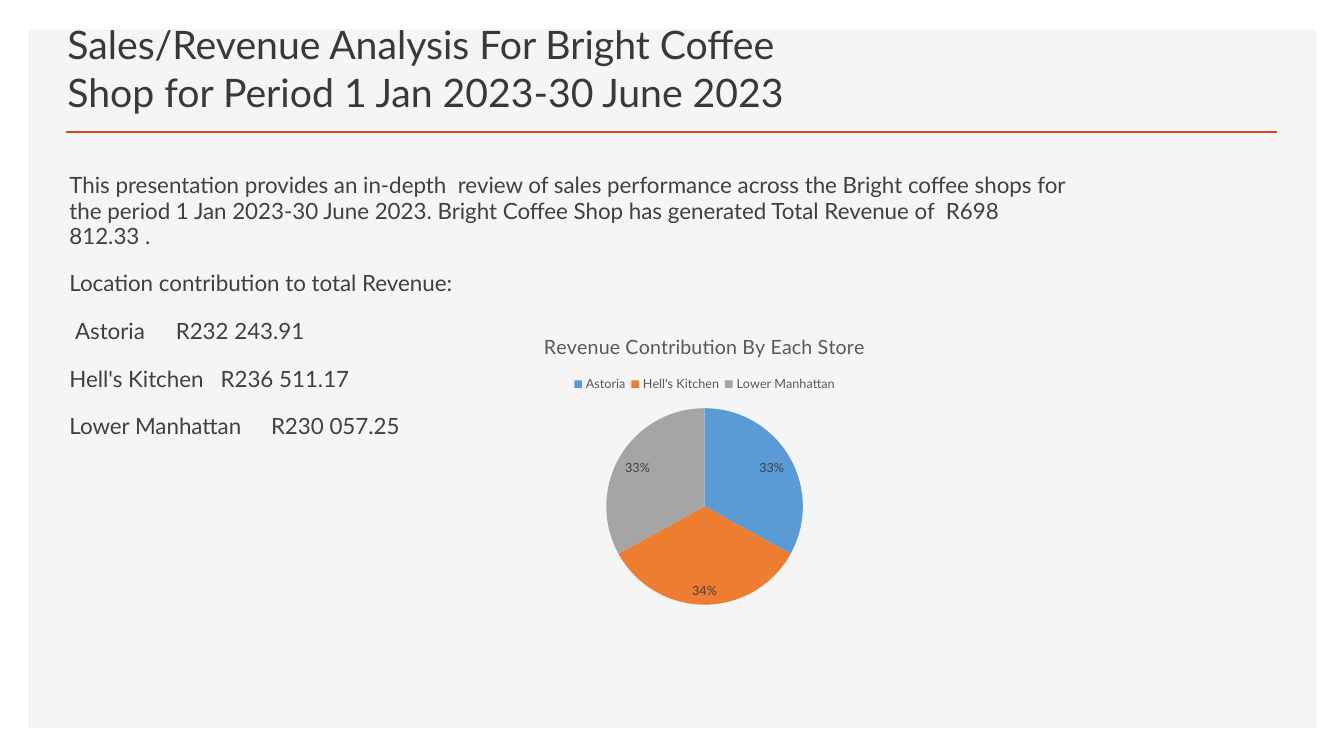
from lxml import etree
from pptx import Presentation
from pptx.chart import data as chart_data
from pptx.dml import color
from pptx.enum import chart as ce, shapes, text
from pptx.oxml import ns, parse_xml
from pptx.util import Pt

FONT = "Lato"
TITLE = "Sales/Revenue Analysis For Bright Coffee Shop for Period 1 Jan 2023-30 June 2023"
INTRO = (
    "This presentation provides an in-depth  review of sales performance across the "
    "Bright coffee shops for  the period 1 Jan 2023-30 June 2023. Bright Coffee Shop has "
    "generated Total Revenue of  R698 812.33 ."
)
HEADING = "Location contribution to total Revenue:"
STORES = [
    ("Astoria", "R232 243.91", 33, "5B9BD5", 4, 154),
    ("Hell's Kitchen", "R236 511.17", 34, "ED7D31", 0, 165),
    ("Lower Manhattan", "R230 057.25", 33, "A5A5A5", 0, 165),
]


def rgb(value):
    return color.RGBColor.from_string(value)


def set_format(target, values):
    for name, value in values.items():
        setattr(target, name, value)


def style_font(font, size, hue):
    set_format(font, {"name": FONT, "size": Pt(size), "bold": False})
    font.color.rgb = rgb(hue)


def place(shape, left, top, width, height):
    values = {"left": left, "top": top, "width": width, "height": height}
    set_format(shape, {name: Pt(value) for name, value in values.items()})


def add_panel(page):
    panel = page.shapes.add_shape(
        shapes.MSO_SHAPE.RECTANGLE, Pt(20.2), Pt(20.9), Pt(920.2), Pt(499))
    panel.shadow.inherit = False
    panel.fill.solid()
    panel.fill.fore_color.rgb = rgb("F5F5F5")
    panel.line.fill.background()
    page.shapes._spTree.insert(2, panel._element)


def add_rule(page):
    rule = page.shapes.add_connector(
        shapes.MSO_CONNECTOR.STRAIGHT, Pt(47.5), Pt(94.3), Pt(912.2), Pt(94.3))
    rule.line.color.rgb = rgb("D24726")
    rule.line.width = Pt(2)
    etree.SubElement(rule._element.spPr, ns.qn("a:effectLst"))


def fill_title(page):
    title = page.shapes.title
    place(title, 41, 35.3, 541.4, 50.4)
    frame = title.text_frame
    set_format(frame, {
        "word_wrap": True,
        "auto_size": text.MSO_AUTO_SIZE.NONE,
        "vertical_anchor": text.MSO_ANCHOR.BOTTOM,
    })
    para = frame.paragraphs[0]
    para.alignment = text.PP_ALIGN.LEFT
    span = para.add_run()
    span.text = TITLE
    style_font(span.font, 28, "3B3838")


def add_tab_stop(para, indent, stop):
    properties = para._p.get_or_add_pPr()
    properties.set("marL", str(Pt(indent)))
    properties.set("indent", "0")
    tabs = etree.SubElement(properties, ns.qn("a:tabLst"))
    etree.SubElement(tabs, ns.qn("a:tab"), pos=str(Pt(stop)), algn="l")


def write_para(para, content):
    set_format(para, {
        "line_spacing": Pt(18), "space_before": Pt(10), "space_after": Pt(6)})
    span = para.add_run()
    span.text = content
    style_font(span.font, 16, "404040")


def add_body(page):
    box = page.shapes.add_textbox(Pt(42.5), Pt(120.2), Pt(738), Pt(304.6))
    frame = box.text_frame
    frame.word_wrap = True
    write_para(frame.paragraphs[0], INTRO)
    write_para(frame.add_paragraph(), HEADING)
    for store, revenue, _, _, indent, stop in STORES:
        para = frame.add_paragraph()
        write_para(para, f"{store}\t{revenue}")
        add_tab_stop(para, indent, stop)


def make_layout(x, y, width, height, inner=False):
    target = '<c:layoutTarget val="inner"/>' if inner else ""
    return parse_xml(
        f'<c:layout {ns.nsdecls("c")}><c:manualLayout>{target}'
        '<c:xMode val="edge"/><c:yMode val="edge"/>'
        f'<c:x val="{x}"/><c:y val="{y}"/><c:w val="{width}"/><c:h val="{height}"/>'
        '</c:manualLayout></c:layout>')


def set_layout(element, layout, position):
    for old in element.findall(ns.qn("c:layout")):
        element.remove(old)
    element.insert(position, layout)


def add_revenue_pie(page):
    values = chart_data.CategoryChartData()
    values.categories = [store[0] for store in STORES]
    values.add_series("Series 1", [store[2] for store in STORES])
    chart = page.shapes.add_chart(
        ce.XL_CHART_TYPE.PIE, Pt(323.3), Pt(226.8), Pt(360), Pt(216), values).chart
    style_font(chart.font, 10, "000000")

    chart.has_title = True
    span = chart.chart_title.text_frame.paragraphs[0].add_run()
    span.text = "Revenue Contribution By Each Store"
    style_font(span.font, 14, "595959")

    chart.has_legend = True
    set_format(chart.legend, {
        "position": ce.XL_LEGEND_POSITION.TOP, "include_in_layout": False})
    style_font(chart.legend.font, 9, "595959")
    set_layout(chart.legend._element, make_layout(0.23, 0.18, 0.54, 0.08), 1)

    plot = chart.plots[0]
    plot.vary_by_categories = True
    set_layout(plot._element.getparent(), make_layout(0.3, 0.3, 0.4, 0.65, True), 0)
    for index, store in enumerate(STORES):
        fill = plot.series[0].points[index].format.fill
        fill.solid()
        fill.fore_color.rgb = rgb(store[3])

    plot.has_data_labels = True
    labels = plot.data_labels
    set_format(labels, {
        "show_percentage": True, "show_value": False,
        "number_format": "0%", "number_format_is_linked": False,
        "position": ce.XL_LABEL_POSITION.INSIDE_END,
    })
    style_font(labels.font, 9, "404040")


def main():
    deck = Presentation()
    set_format(deck, {"slide_width": Pt(960), "slide_height": Pt(540)})
    page = deck.slides.add_slide(deck.slide_layouts[5])
    add_panel(page)
    add_rule(page)
    fill_title(page)
    add_body(page)
    add_revenue_pie(page)
    deck.save("out.pptx")


if __name__ == "__main__":
    main()
